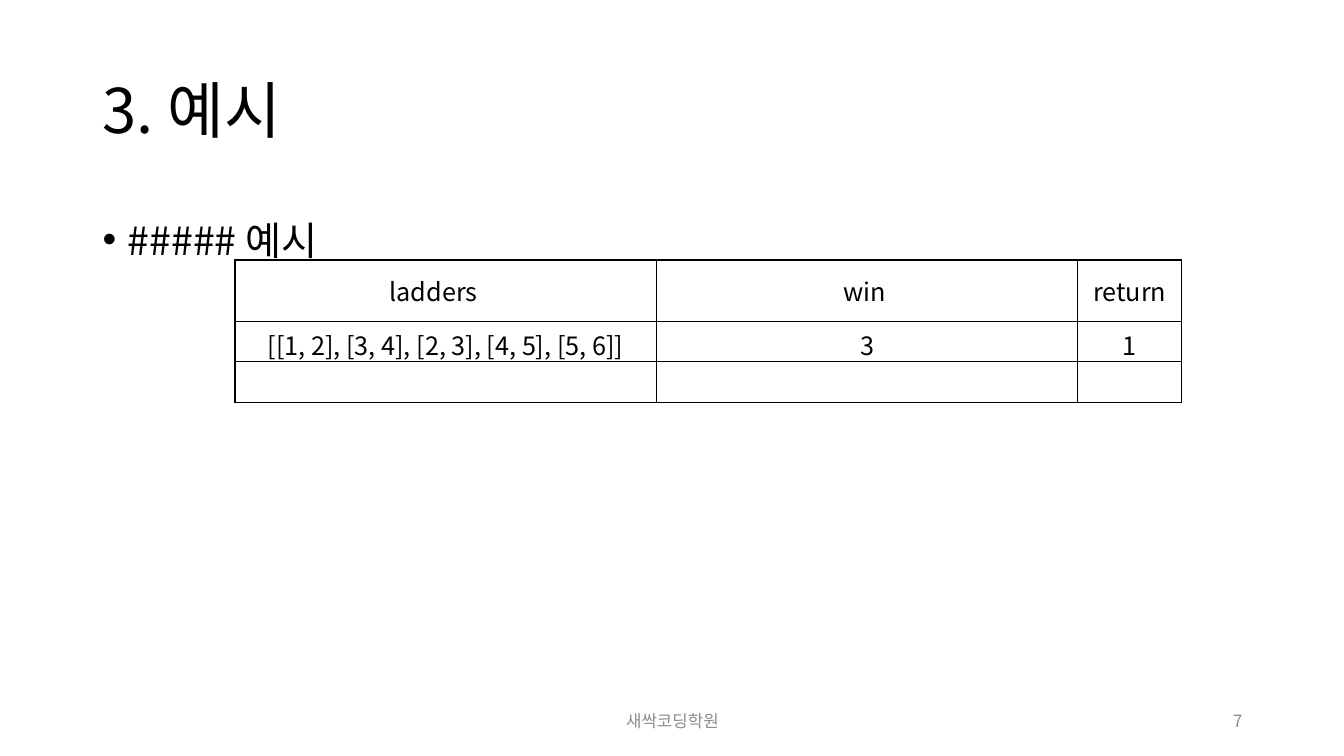
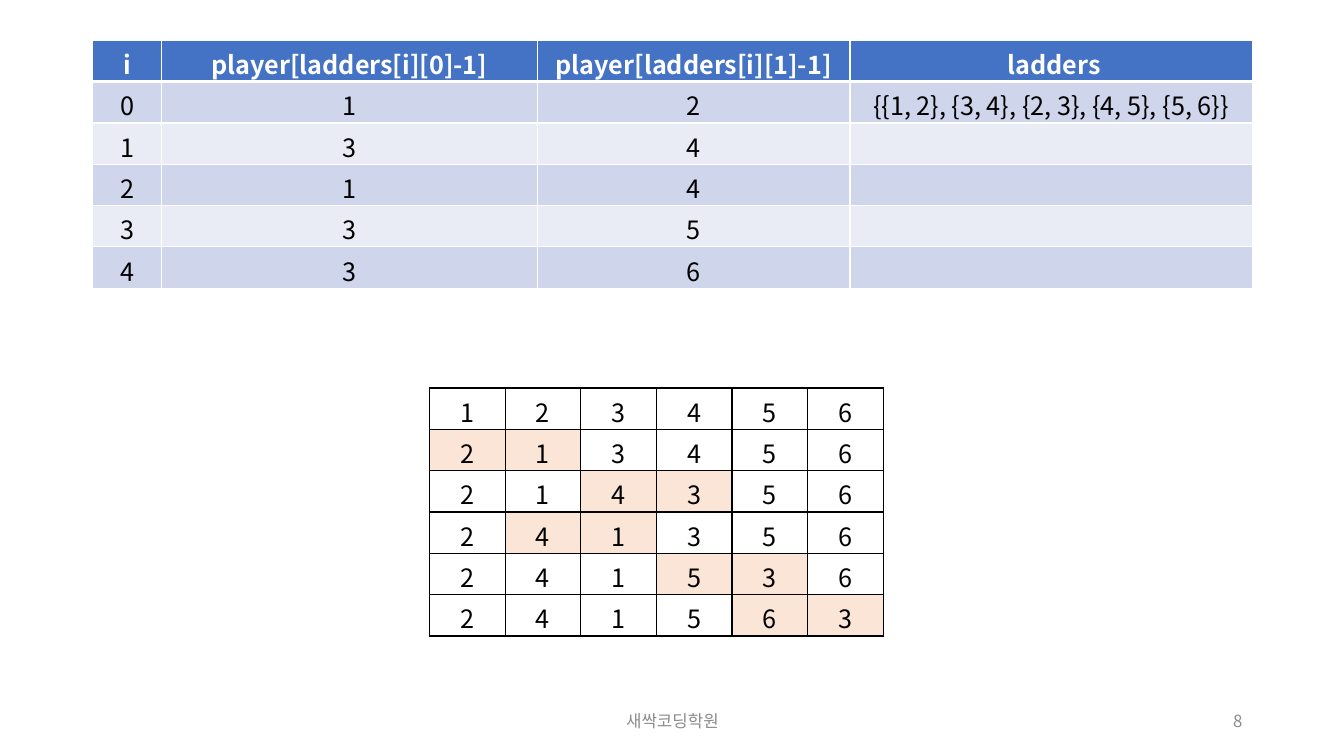
from dataclasses import dataclass

from lxml import etree
from pptx import Presentation
from pptx import util as u
from pptx.dml import color
from pptx.enum import text
from pptx.oxml import ns


@dataclass(frozen=True)
class Theme:
    font: str = "Noto Sans CJK KR"
    ink: str = "000000"
    paper: str = "FFFFFF"
    muted: str = "8C8C8C"
    header: str = "4472C4"
    bands: tuple[str, str] = ("CFD5EA", "E9EBF5")
    swap: str = "FBE5D6"
    title_size: float = 44
    body_size: float = 28
    table_size: float = 18
    footer_size: float = 12


@dataclass(frozen=True)
class Box:
    left: float
    top: float
    width: float
    height: float

    def lengths(self) -> list[u.Length]:
        return [u.Inches(n) for n in (self.left, self.top, self.width, self.height)]


@dataclass(frozen=True)
class Cell:
    words: str = ""
    fill: str = "FFFFFF"
    ink: str = "000000"
    bold: bool = False
    bottom: float = 1  # width of the bottom border in points


THEME = Theme()
ALIGN = text.PP_ALIGN
MIDDLE = text.MSO_ANCHOR.MIDDLE
TITLE_BOX = Box(0.92, 0.4, 11.5, 1.45)
BODY_BOX = Box(0.92, 2, 11.5, 5.1)
FOOTER_BOX = Box(4.42, 6.95, 4.5, 0.4)
NUMBER_BOX = Box(9.42, 6.95, 3, 0.4)
RUNGS = [(1, 2), (3, 4), (2, 3), (4, 5), (5, 6)]
PLAYERS = 6


def style(paragraph, size: float, ink: str, align=ALIGN.LEFT, bold: bool = False) -> None:
    paragraph.alignment = align
    font = paragraph.font
    font.name, font.size, font.bold = THEME.font, u.Pt(size), bold
    font.color.rgb = color.RGBColor.from_string(ink)
    # Hangul takes its typeface from the East Asian slot
    latin = font._element.find(ns.qn("a:latin"))
    east_asian = etree.Element(ns.qn("a:ea"), typeface=THEME.font)
    latin.addnext(east_asian)


def add_text(slide, box: Box, words: str, size: float, ink: str = THEME.ink,
             align=ALIGN.LEFT, anchor=MIDDLE, spacing: float = 1.0, bullet: bool = False) -> None:
    frame = slide.shapes.add_textbox(*box.lengths()).text_frame
    frame.word_wrap = True
    frame.vertical_anchor = anchor
    paragraph = frame.paragraphs[0]
    paragraph.text = words
    paragraph.line_spacing = spacing
    if bullet:
        properties = paragraph._p.get_or_add_pPr()
        properties.set("marL", str(u.Inches(0.25)))
        properties.set("indent", str(u.Inches(-0.25)))
        etree.SubElement(properties, ns.qn("a:buFont"), typeface="Arial")
        etree.SubElement(properties, ns.qn("a:buChar"), char="•")
    style(paragraph, size, ink, align)


def set_borders(cell, ink: str, bottom: float) -> None:
    properties = cell._tc.get_or_add_tcPr()
    for side, width in (("L", 1), ("R", 1), ("T", 1), ("B", bottom)):
        line = etree.SubElement(properties, ns.qn(f"a:ln{side}"), w=str(u.Pt(width)))
        fill = etree.SubElement(line, ns.qn("a:solidFill"))
        etree.SubElement(fill, ns.qn("a:srgbClr"), val=ink)


def add_table(slide, left: float, top: float, columns: list[float], heights: list[float],
              rows: list[list[Cell]], border: str):
    box = Box(left, top, sum(columns), sum(heights))
    table = slide.shapes.add_table(len(rows), len(columns), *box.lengths()).table
    table.first_row = table.horz_banding = False
    for column, width in zip(table.columns, columns):
        column.width = u.Inches(width)
    for row, height, contents in zip(table.rows, heights, rows):
        row.height = u.Inches(height)
        for cell, content in zip(row.cells, contents):
            set_borders(cell, border, content.bottom)
            cell.fill.solid()
            cell.fill.fore_color.rgb = color.RGBColor.from_string(content.fill)
            cell.vertical_anchor = MIDDLE
            paragraph = cell.text_frame.paragraphs[0]
            if content.words:
                paragraph.text = content.words
            style(paragraph, THEME.table_size, content.ink, ALIGN.CENTER, content.bold)
    return table


def add_slide(presentation, number: int):
    slide = presentation.slides.add_slide(presentation.slide_layouts[6])
    add_text(slide, FOOTER_BOX, "새싹코딩학원", THEME.footer_size, THEME.muted, ALIGN.CENTER)
    add_text(slide, NUMBER_BOX, str(number), THEME.footer_size, THEME.muted, ALIGN.RIGHT)
    return slide


def rungs_text(opening: str, closing: str) -> str:
    pairs = ", ".join(f"{opening}{a}, {b}{closing}" for a, b in RUNGS)
    return f"{opening}{pairs}{closing}"


def build_example(presentation) -> None:
    slide = add_slide(presentation, 7)
    add_text(slide, TITLE_BOX, "3. 예시", THEME.title_size, spacing=0.9)
    add_text(slide, BODY_BOX, "##### 예시", THEME.body_size,
             anchor=text.MSO_ANCHOR.TOP, spacing=1.2, bullet=True)
    words = [["ladders", "win ", "return"], [rungs_text("[", "]"), "3", "1"], [""] * 3]
    rows = [[Cell(entry) for entry in row] for row in words]
    table = add_table(slide, 2.33, 2.58, [4.18, 4.18, 1.03], [0.61, 0.4, 0.4], rows, THEME.ink)
    # The first heading sits a little left of centre
    table.cell(0, 0).margin_right = u.Inches(0.34)


def build_trace(presentation) -> None:
    slide = add_slide(presentation, 8)

    # Each rung swaps two neighbours; both tables follow from this
    headings = ["i", "player[ladders[i][0]-1]", "player[ladders[i][1]-1]", " ladders"]
    steps = [[Cell(word, THEME.header, THEME.paper, True, 3) for word in headings]]
    order = list(range(1, PLAYERS + 1))
    grid = [[Cell(str(player)) for player in order]]
    for index, (a, b) in enumerate(RUNGS):
        first, second = order[a - 1], order[b - 1]
        ladders = rungs_text("{", "}") if index == 0 else ""
        band = THEME.bands[index % 2]
        steps.append([Cell(str(entry), band) for entry in (index, first, second, ladders)])
        order[a - 1], order[b - 1] = second, first
        grid.append([Cell(str(player), THEME.swap if place in (a, b) else THEME.paper)
                     for place, player in enumerate(order, 1)])

    heights = [0.41] * len(grid)
    add_table(slide, 0.92, 0.4, [0.68, 3.73, 3.1, 3.99], heights, steps, THEME.paper)
    add_table(slide, 4.26, 3.85, [0.75] * PLAYERS, heights, grid, THEME.ink)


def main() -> None:
    presentation = Presentation()
    presentation.slide_width = u.Inches(13.33)
    presentation.slide_height = u.Inches(7.5)
    build_example(presentation)
    build_trace(presentation)
    presentation.save("out.pptx")


if __name__ == "__main__":
    main()
